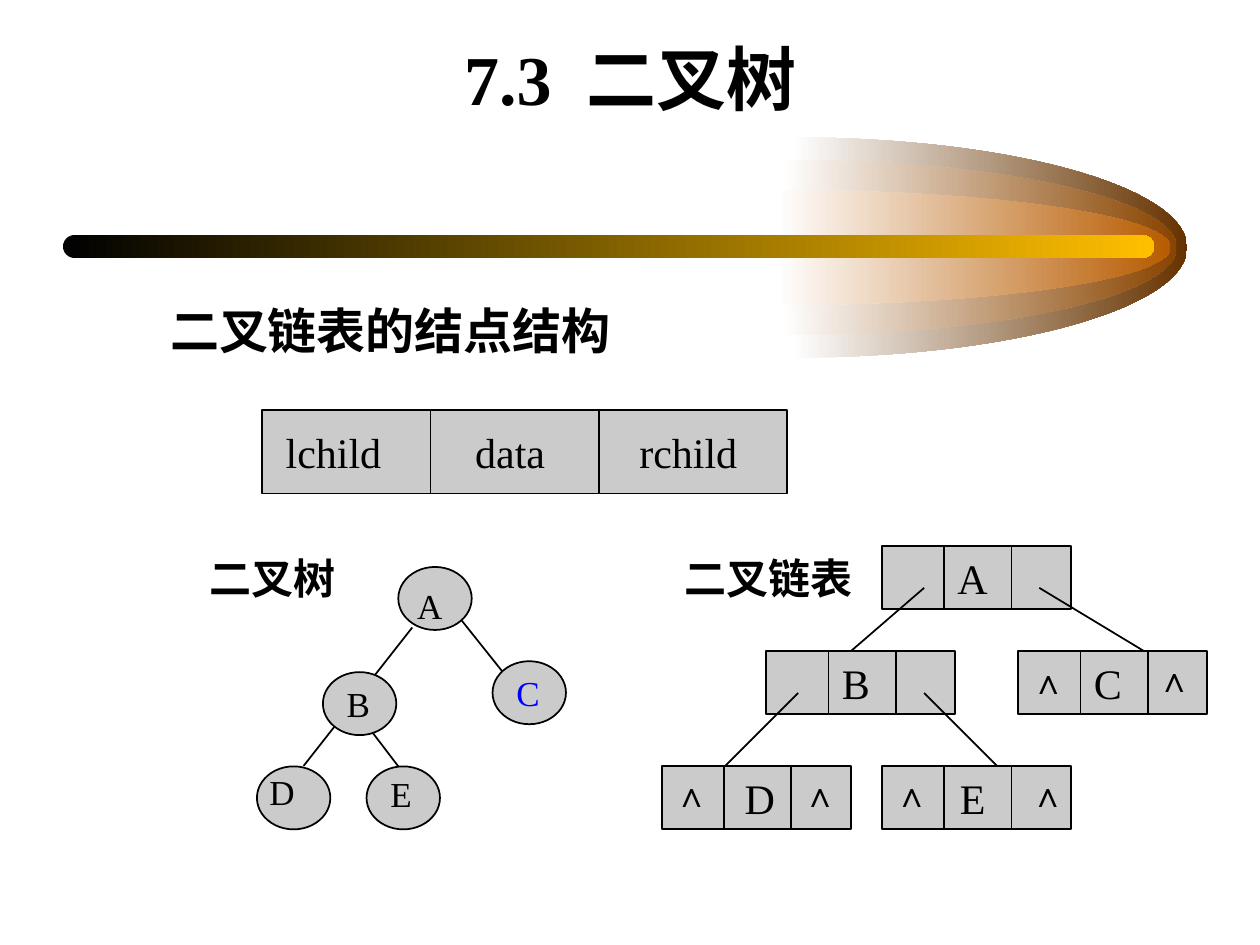
from dataclasses import dataclass

import pptx
import pptx.dml.color
import pptx.enum.shapes
import pptx.enum.text
import pptx.oxml
import pptx.oxml.ns
import pptx.util

Cm = pptx.util.Cm
Pt = pptx.util.Pt
PRESET = pptx.enum.shapes.MSO_SHAPE
ALIGN = pptx.enum.text.PP_ALIGN
ANCHOR = pptx.enum.text.MSO_ANCHOR


@dataclass(frozen=True)
class Theme:
    latin: str = "Times New Roman"
    asian: str = "Noto Sans CJK SC"
    ink: str = "000000"
    accent: str = "0000FF"
    node: str = "CBCBCB"
    paper: str = "FFFFFF"
    gold: str = "FFBF00"
    glow: tuple = ("663300", "894400", "B75B00")
    title: int = 40
    subtitle: int = 28
    body: int = 24
    small: int = 20
    line: int = 1


THEME = Theme()
NODE_SIZE = (1.48, 1.27)
RECORD_SIZE = (3.81, 1.27)
RECORD_DIVIDERS = (1.25, 2.61)


def color(value):
    return pptx.dml.color.RGBColor.from_string(value)


def fill_gradient(shape, start, end):
    """Left-to-right gradient without outline or shadow."""
    shape.shadow.inherit = False
    shape.line.fill.background()
    shape.fill.gradient()
    shape.fill.gradient_angle = 0
    for stop, value in zip(shape.fill.gradient_stops, (start, end)):
        stop.color.rgb = color(value)


def add_text(shapes, text, left, top, width, height, size, bold=False,
             ink=THEME.ink, inset=0.25, fit=True):
    box = shapes.add_textbox(Cm(left), Cm(top), Cm(width), Cm(height))
    frame = box.text_frame
    frame.word_wrap = True
    frame.margin_left = Cm(inset)
    if fit:
        frame.auto_size = pptx.enum.text.MSO_AUTO_SIZE.SHAPE_TO_FIT_TEXT
    run = frame.paragraphs[0].add_run()
    run.text = text
    run.font.size = Pt(size)
    run.font.bold = bold
    run.font.name = THEME.latin
    run.font.color.rgb = color(ink)
    asian = pptx.oxml.parse_xml(
        f'<a:ea {pptx.oxml.ns.nsdecls("a")} typeface="{THEME.asian}"/>')
    run.font._element.find(pptx.oxml.ns.qn("a:latin")).addnext(asian)
    return frame


def add_tab_stops(paragraph, positions):
    stops = "".join(f'<a:tab pos="{Cm(position)}" algn="l"/>' for position in positions)
    paragraph._p.get_or_add_pPr().append(pptx.oxml.parse_xml(
        f'<a:tabLst {pptx.oxml.ns.nsdecls("a")}>{stops}</a:tabLst>'))


def add_line(shapes, x1, y1, x2, y2):
    line = shapes.add_connector(pptx.enum.shapes.MSO_CONNECTOR.STRAIGHT,
                                Cm(x1), Cm(y1), Cm(x2), Cm(y2))
    line.line.color.rgb = color(THEME.ink)
    line.line.width = Pt(THEME.line)
    line._element.spPr.append(pptx.oxml.parse_xml(
        f'<a:effectLst {pptx.oxml.ns.nsdecls("a")}/>'))


def add_box(shapes, preset, left, top, width, height):
    shape = shapes.add_shape(preset, Cm(left), Cm(top), Cm(width), Cm(height))
    shape.shadow.inherit = False
    shape.fill.solid()
    shape.fill.fore_color.rgb = color(THEME.node)
    shape.line.color.rgb = color(THEME.ink)
    shape.line.width = Pt(THEME.line)


def add_record(shapes, left, top, size=RECORD_SIZE, dividers=RECORD_DIVIDERS):
    """Rectangle split into three fields."""
    add_box(shapes, PRESET.RECTANGLE, left, top, *size)
    for offset in dividers:
        add_line(shapes, left + offset, top, left + offset, top + size[1])


def add_half_ellipse(shapes, left, middle, width, half_height, end):
    """Right half of an ellipse, fading in from the left."""
    x, y, w, h = Cm(left), Cm(middle), Cm(width), Cm(half_height)
    builder = shapes.build_freeform(x, y - h)
    builder.add_line_segments([(x + w, y), (x, y + h), (x, y)], close=True)
    shape = builder.convert_to_shape()
    kappa = 0.55  # handle length of a cubic quarter ellipse
    quarters = (((kappa * w, 0), (w, h - kappa * h), (w, h)),
                ((w, h + kappa * h), (kappa * w, 2 * h), (0, 2 * h)))
    segments = list(shape._element.iter(pptx.oxml.ns.qn("a:lnTo")))
    for segment, quarter in zip(segments, quarters):
        points = "".join(f'<a:pt x="{round(px)}" y="{round(py)}"/>' for px, py in quarter)
        segment.getparent().replace(segment, pptx.oxml.parse_xml(
            f'<a:cubicBezTo {pptx.oxml.ns.nsdecls("a")}>{points}</a:cubicBezTo>'))
    fill_gradient(shape, THEME.paper, end)


def add_comet(slide):
    shapes = slide.shapes.add_group_shape().shapes
    arcs = ((15.98, 2.22), (15.77, 1.77), (15.65, 1.16))
    for (left, half_height), end in zip(arcs, THEME.glow):
        add_half_ellipse(shapes, left, 4.99, 7.95, half_height, end)
    bar = shapes.add_shape(PRESET.ROUNDED_RECTANGLE, Cm(1.27), Cm(4.74), Cm(22), Cm(0.46))
    bar.adjustments[0] = 0.5
    fill_gradient(bar, THEME.ink, THEME.gold)


def add_headings(slide):
    title = add_text(slide.shapes, "7.3  二叉树", 1.91, 0.64, 21.59, 1.9,
                     THEME.title, bold=True, fit=False)
    title.vertical_anchor = ANCHOR.BOTTOM
    title.paragraphs[0].alignment = ALIGN.CENTER
    add_text(slide.shapes, "二叉链表的结点结构", 3.18, 5.94, 17.98, 1.7,
             THEME.subtitle, bold=True, fit=False)


def add_node_structure(slide):
    shapes = slide.shapes.add_group_shape().shapes
    add_record(shapes, 5.29, 8.26, (10.58, 1.69), (3.39, 6.78))
    fields = add_text(shapes, "lchild\tdata\trchild", 4.88, 8.48, 11, 1.27,
                      THEME.body, inset=0.88)
    add_tab_stops(fields.paragraphs[0], (3.82, 7.13))


def add_binary_tree(slide):
    shapes = slide.shapes.add_group_shape().shapes
    for edge in ((9.3, 12.5, 10.13, 13.54), (8.31, 12.65, 6.12, 15.44),
                 (7.39, 14.61, 8.03, 15.45)):
        add_line(shapes, *edge)
    # Name, ellipse corner, label offset, label colour
    nodes = (("A", 8.03, 11.43, 0.13, 0.23, THEME.ink),
             ("B", 6.51, 13.55, 0.23, 0.09, THEME.ink),
             ("C", 9.93, 13.33, 0.23, 0.08, THEME.accent),
             ("D", 5.18, 15.45, 0, -0.05, THEME.ink),
             ("E", 7.39, 15.45, 0.23, 0, THEME.ink))
    for name, left, top, shift_x, shift_y, ink in nodes:
        add_box(shapes, PRESET.OVAL, left, top, *NODE_SIZE)
        add_text(shapes, name, left + shift_x, top + shift_y, 1.48, 1.12,
                 THEME.small, ink=ink)
    add_text(shapes, "二叉树", 3.38, 11.01, 5.08, 1.27, THEME.body, bold=True, inset=0.84)


def add_linked_list(slide):
    shapes = slide.shapes.add_group_shape().shapes
    # Name, record corner, label offset, offsets of the null marks
    records = (("A", 17.78, 11.01, 1.27, ()),
               ("B", 15.45, 13.13, 1.27, ()),
               ("C", 20.53, 13.13, 1.27, ((0, 0.05), (2.54, 0))),
               ("D", 13.34, 15.45, 1.42, ((0, 0), (2.59, 0))),
               ("E", 17.78, 15.45, 1.32, ((0, 0), (2.74, 0))))
    for name, left, top, shift, nulls in records:
        add_record(shapes, left, top)
        add_text(shapes, name, left + shift, top, 1.48, 1.27, THEME.body)
        for null_x, null_y in nulls:
            add_text(shapes, "∧", left + null_x, top + null_y, 1.48, 1.12,
                     THEME.small, bold=True)
    for link in ((18.63, 11.85, 17.15, 13.13), (20.95, 11.85, 23.07, 13.13),
                 (16.09, 13.97, 14.61, 15.45), (18.63, 13.97, 20.11, 15.45)):
        add_line(shapes, *link)
    add_text(slide.shapes, "二叉链表", 13.55, 11.01, 4.02, 1.27, THEME.body, bold=True)


def main():
    presentation = pptx.Presentation()
    presentation.slide_width = Cm(25.4)
    presentation.slide_height = Cm(19.05)
    slide = presentation.slides.add_slide(presentation.slide_layouts[6])
    add_comet(slide)
    add_headings(slide)
    add_node_structure(slide)
    add_binary_tree(slide)
    add_linked_list(slide)
    presentation.save("out.pptx")


if __name__ == "__main__":
    main()
